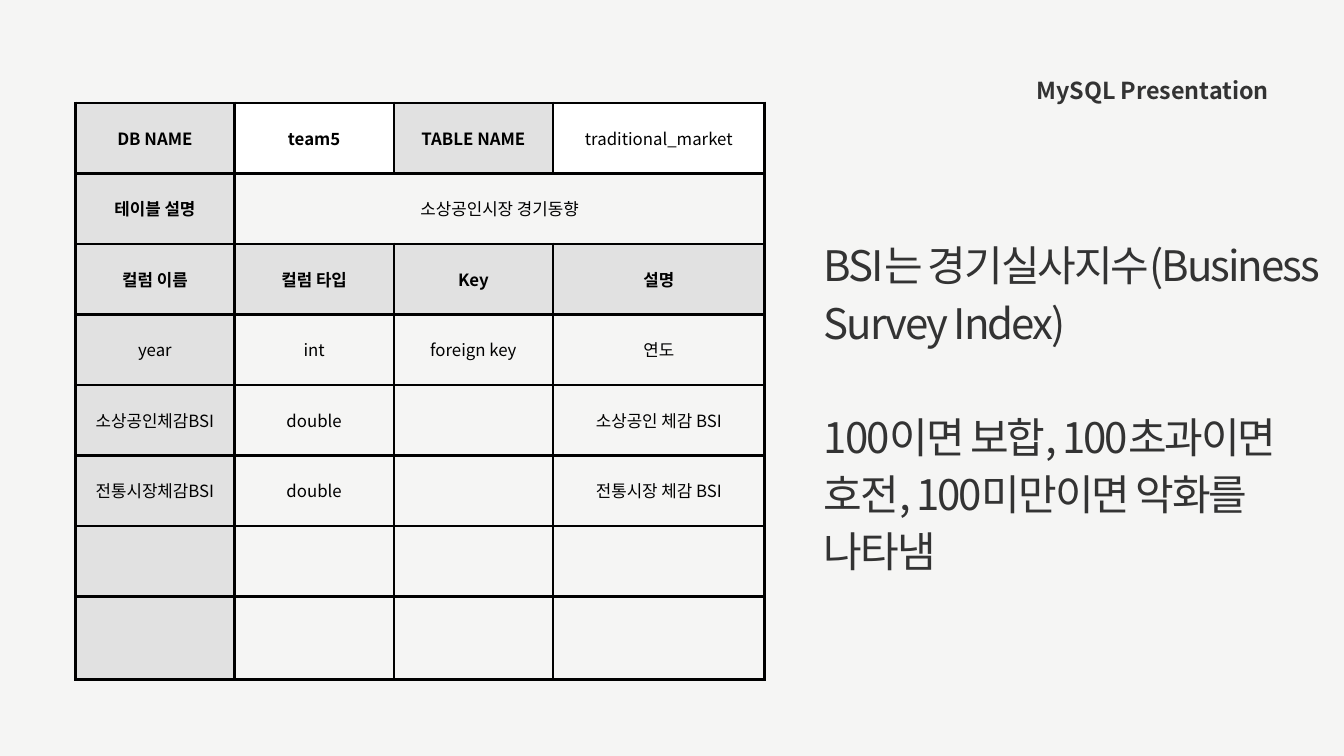
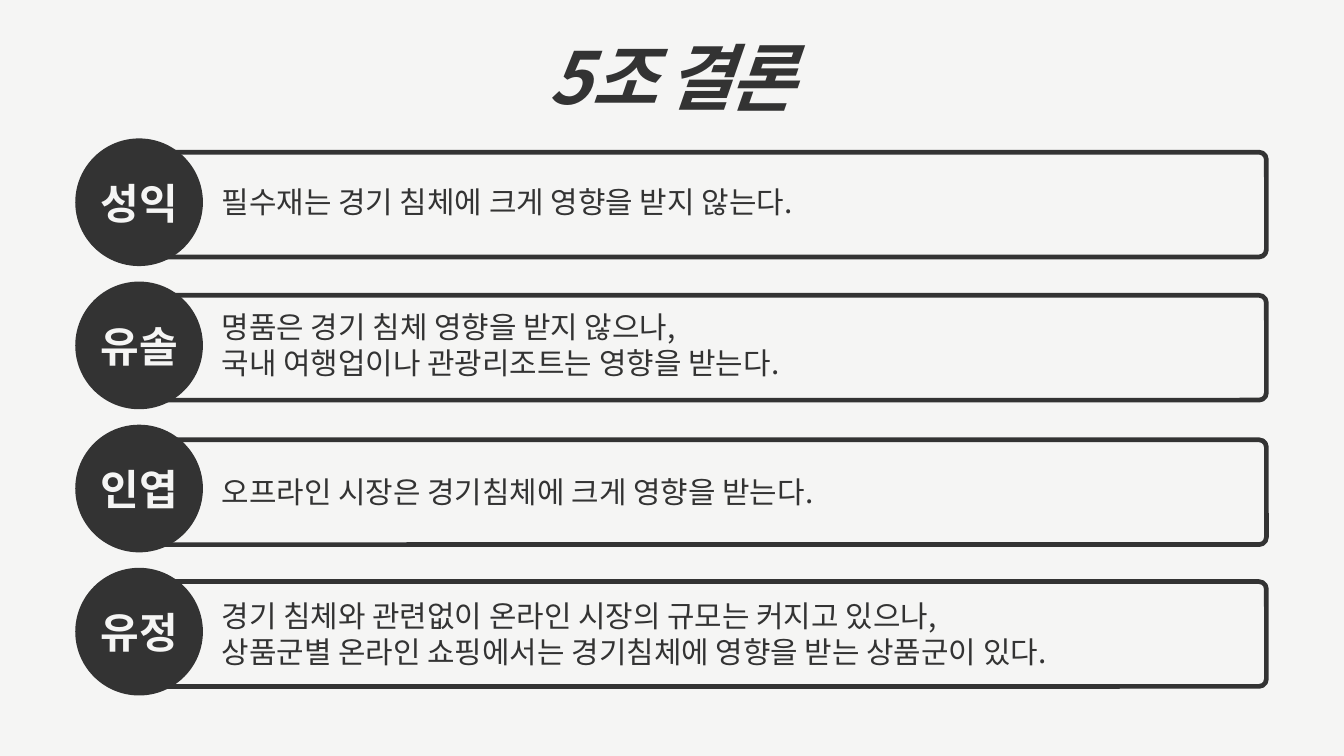
from dataclasses import dataclass

from lxml.etree import SubElement
from pptx import Presentation
from pptx.dml.color import RGBColor
from pptx.enum.shapes import MSO_SHAPE as SHAPE
from pptx.enum.text import MSO_ANCHOR as ANCHOR, MSO_AUTO_SIZE as AUTO, PP_ALIGN as ALIGN
from pptx.oxml import parse_xml
from pptx.oxml.ns import nsdecls, qn
from pptx.util import Inches, Pt

FONT = "Noto Sans CJK KR"
INK, PAPER, GRAY, WHITE, BLACK = "333333", "F5F5F4", "E1E1E1", "FFFFFF", "000000"


@dataclass(frozen=True)
class Style:
    """Type settings of one kind of text, sizes in points."""
    size: float
    leading: float
    color: str = INK
    bold: bool = False
    italic: bool = False
    align: ALIGN = ALIGN.LEFT
    spacing: float = 0
    gap: float = 0


@dataclass(frozen=True)
class Box:
    """Position and size in inches."""
    left: float
    top: float
    width: float
    height: float

    def emu(self) -> list:
        """Return the four lengths for python-pptx."""
        return [Inches(v) for v in (self.left, self.top, self.width, self.height)]


@dataclass(frozen=True)
class Conclusion:
    """One member's conclusion and its places."""
    member: str
    lines: tuple
    frame_left: float
    frame_top: float
    note: Box


HEADER = Style(25, 35, bold=True, align=ALIGN.RIGHT)
HEADLINE = Style(77, 92.4, bold=True, italic=True, align=ALIGN.CENTER, spacing=-3.8)
BODY = Style(45, 61.2, spacing=-2.2, gap=61.2)
CELL = Style(18, 25.2, BLACK, align=ALIGN.CENTER)
CELL_BOLD = Style(18, 25.2, BLACK, bold=True, align=ALIGN.CENTER)
MEMBER = Style(45, 54, PAPER, bold=True, align=ALIGN.CENTER)
NOTE = Style(32, 38.4)

TABLE_BOX = Box(1.12, 1.53, 10.26, 8.59)
COL_WIDTHS = (2.37, 2.37, 2.37, 3.15)
ROW_HEIGHTS = (1.05,) * 7 + (1.23,)
SCHEMA = (
    ("DB NAME", "team5", "TABLE NAME", "traditional_market"),
    ("테이블 설명", "소상공인시장 경기동향", "", ""),
    ("컬럼 이름", "컬럼 타입", "Key", "설명"),
    ("year", "int", "foreign key", "연도"),
    ("소상공인체감BSI", "double", "", "소상공인 체감 BSI"),
    ("전통시장체감BSI", "double", "", "전통시장 체감 BSI"),
    ("",) * 4,
    ("",) * 4,
)
BOLD_CELLS = {(0, 0), (0, 1), (0, 2), (1, 0), (2, 0), (2, 1), (2, 2), (2, 3)}
CELL_FILLS = {(0, 1): WHITE, (0, 2): GRAY, (0, 3): WHITE,
              **{(r, 0): GRAY for r in range(8)}, **{(2, c): GRAY for c in range(4)}}

BADGE_TOP, BADGE_SIZE, PITCH = 2.06, 1.9, 2.13
FRAME_RIGHT, FRAME_HEIGHT, FRAME_LINE = 18.88, 1.63, 0.07
CONCLUSIONS = (
    Conclusion("성익", ("필수재는 경기 침체에 크게 영향을 받지 않는다.",),
               2.07, 2.23, Box(3.3, 2.74, 15.2, 0.54)),
    Conclusion("유솔", ("명품은 경기 침체 영향을 받지 않으나,",
                      "국내 여행업이나 관광리조트는 영향을 받는다."),
               2.07, 4.36, Box(3.3, 4.6, 14.95, 1.07)),
    Conclusion("인엽", ("오프라인 시장은 경기침체에 크게 영향을 받는다.",),
               1.82, 6.51, Box(3.3, 7.05, 15.2, 0.54)),
    Conclusion("유정", ("경기 침체와 관련없이 온라인 시장의 규모는 커지고 있으나,",
                      "상품군별 온라인 쇼핑에서는 경기침체에 영향을 받는 상품군이 있다."),
               2.07, 8.62, Box(3.3, 8.9, 15.2, 1.45)),
)


def rgb(value: str) -> RGBColor:
    """Turn a hex string into a colour."""
    return RGBColor.from_string(value)


def paint(fill, color: str | None) -> None:
    """Fill with a solid colour, or with nothing."""
    if color:
        fill.solid()
        fill.fore_color.rgb = rgb(color)
    else:
        fill.background()


def write(tf, lines: tuple, style: Style) -> None:
    """Write one paragraph per line in the given style."""
    for i, text in enumerate(lines):
        p = tf.add_paragraph() if i else tf.paragraphs[0]
        pPr = p._p.get_or_add_pPr()
        pPr.set("marL", "0")
        pPr.set("indent", "0")
        SubElement(pPr, qn("a:buNone"))
        layout = {"alignment": style.align, "line_spacing": Pt(style.leading),
                  "space_before": Pt(style.gap if i else 0), "space_after": Pt(0)}
        for name, value in layout.items():
            setattr(p, name, value)
        r = p.add_run()
        r.text = text
        look = {"size": Pt(style.size), "bold": style.bold,
                "italic": style.italic, "name": FONT}
        for name, value in look.items():
            setattr(r.font, name, value)
        r.font.color.rgb = rgb(style.color)
        rPr = r._r.get_or_add_rPr()
        SubElement(rPr, qn("a:ea"), typeface=FONT)
        if style.spacing:
            rPr.set("spc", str(round(style.spacing * 100)))


def place_text(sp, box: Box, lines: tuple, style: Style) -> None:
    """Move a text shape to its box and write into it without margins."""
    sp.left, sp.top, sp.width, sp.height = box.emu()
    tf = sp.text_frame
    frame = {"word_wrap": True, "auto_size": AUTO.NONE, "vertical_anchor": ANCHOR.TOP,
             "margin_left": 0, "margin_right": 0, "margin_top": 0, "margin_bottom": 0}
    for name, value in frame.items():
        setattr(tf, name, value)
    write(tf, lines, style)


def add_text(slide, box: Box, lines: tuple, style: Style) -> None:
    """Add a text box."""
    place_text(slide.shapes.add_textbox(*box.emu()), box, lines, style)


def add_plain_shape(slide, kind: SHAPE, box: Box, fill: str | None):
    """Add a preset shape without shadow or line."""
    sp = slide.shapes.add_shape(kind, *box.emu())
    sp.shadow.inherit = False
    paint(sp.fill, fill)
    sp.line.fill.background()
    return sp


def add_borders(cell, color: str, width: float) -> None:
    """Draw all four borders of a cell."""
    tcPr = cell._tc.get_or_add_tcPr()
    for i, side in enumerate("LRTB"):
        tcPr.insert(i, parse_xml(
            f'<a:ln{side} {nsdecls("a")} w="{Pt(width)}"><a:solidFill>'
            f'<a:srgbClr val="{color}"/></a:solidFill></a:ln{side}>'))


def add_schema_table(slide) -> None:
    """Add the table that describes the database columns."""
    table = slide.shapes.add_table(len(SCHEMA), len(COL_WIDTHS), *TABLE_BOX.emu()).table
    table.first_row = table.horz_banding = False
    for col, width in zip(table.columns, COL_WIDTHS):
        col.width = Inches(width)
    for row, height in zip(table.rows, ROW_HEIGHTS):
        row.height = Inches(height)
    table.cell(1, 1).merge(table.cell(1, 3))
    for r, texts in enumerate(SCHEMA):
        for c, text in enumerate(texts):
            cell = table.cell(r, c)
            cell.vertical_anchor = ANCHOR.MIDDLE
            for side in ("left", "right", "top", "bottom"):
                setattr(cell, f"margin_{side}", Inches(0.21))
            paint(cell.fill, CELL_FILLS.get((r, c)))
            add_borders(cell, BLACK, 3)
            if text:
                write(cell.text_frame, (text,), CELL_BOLD if (r, c) in BOLD_CELLS else CELL)


def add_conclusion(slide, index: int, item: Conclusion) -> None:
    """Add a framed conclusion with the member's round badge."""
    inset = FRAME_LINE / 2
    frame = Box(item.frame_left + inset, item.frame_top + inset,
                FRAME_RIGHT - item.frame_left - FRAME_LINE, FRAME_HEIGHT - FRAME_LINE)
    sp = add_plain_shape(slide, SHAPE.ROUNDED_RECTANGLE, frame, None)
    sp.adjustments[0] = 0.07
    sp.line.color.rgb = rgb(INK)
    sp.line.width = Inches(FRAME_LINE)
    top = BADGE_TOP + index * PITCH
    add_plain_shape(slide, SHAPE.OVAL, Box(1.12, top, BADGE_SIZE, BADGE_SIZE), INK)
    add_text(slide, Box(1.39, top + 0.58, 1.36, 0.75), (item.member,), MEMBER)
    add_text(slide, item.note, item.lines, NOTE)


def build_schema_slide(prs) -> None:
    """Build the slide with the table and the index definition."""
    slide = prs.slides.add_slide(prs.slide_layouts[1])
    place_text(slide.shapes.title, Box(13.37, 1.06, 5.51, 0.47),
               ("MySQL Presentation",), HEADER)
    add_schema_table(slide)
    place_text(slide.placeholders[1], Box(12.26, 3.47, 7.45, 5.04),
               ("BSI는 경기실사지수(Business Survey Index)",
                "100이면 보합, 100초과이면 호전, 100미만이면 악화를 나타냄"), BODY)


def build_conclusion_slide(prs) -> None:
    """Build the slide with the team's conclusions."""
    slide = prs.slides.add_slide(prs.slide_layouts[5])
    place_text(slide.shapes.title, Box(0, 0.48, 20, 1.29), ("5조 결론",), HEADLINE)
    for i, item in enumerate(CONCLUSIONS):
        add_conclusion(slide, i, item)


def main() -> None:
    """Build and save the presentation."""
    prs = Presentation()
    prs.slide_width, prs.slide_height = Inches(20), Inches(11.25)
    paint(prs.slide_master.background.fill, PAPER)
    build_schema_slide(prs)
    build_conclusion_slide(prs)
    prs.save("out.pptx")


if __name__ == "__main__":
    main()
